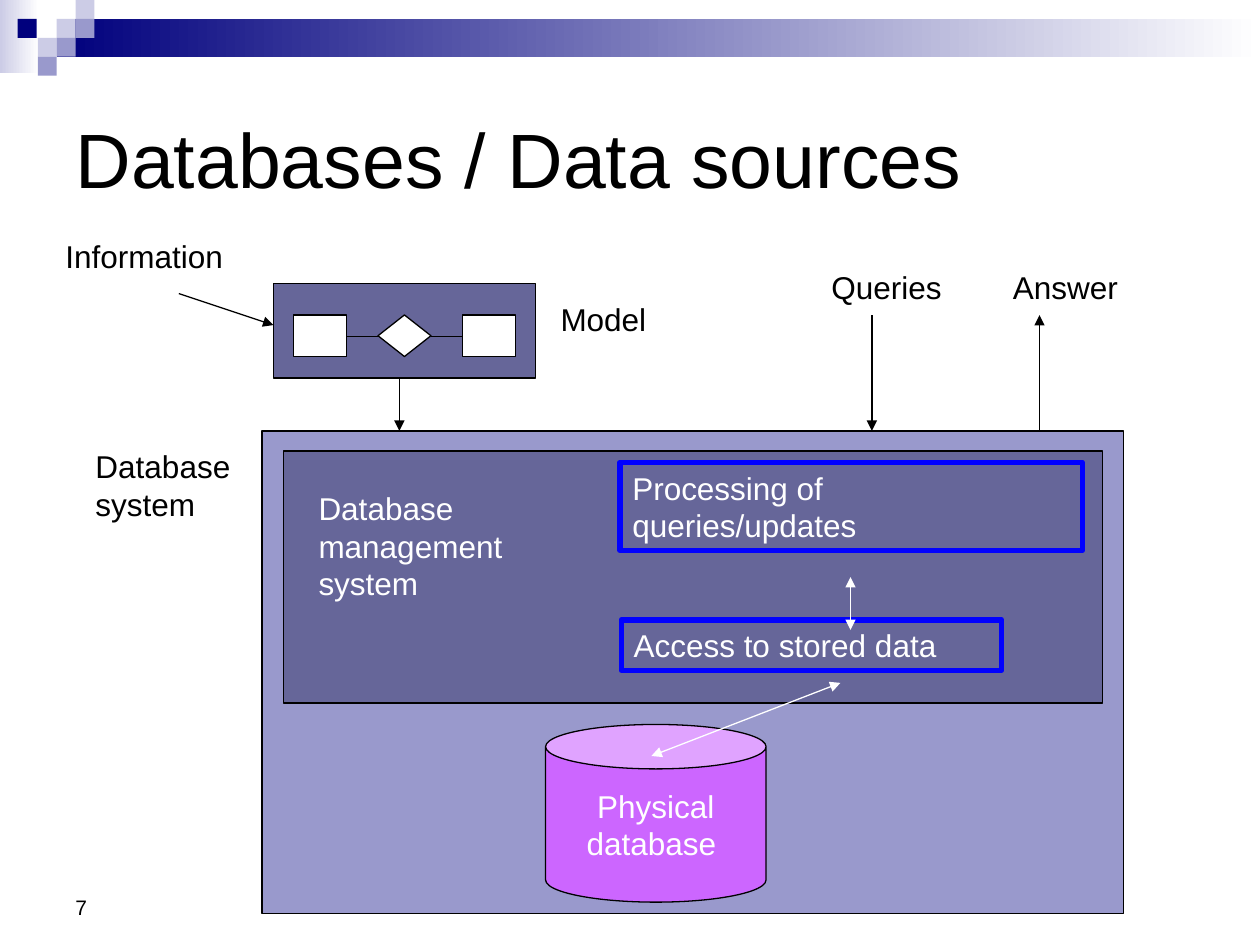
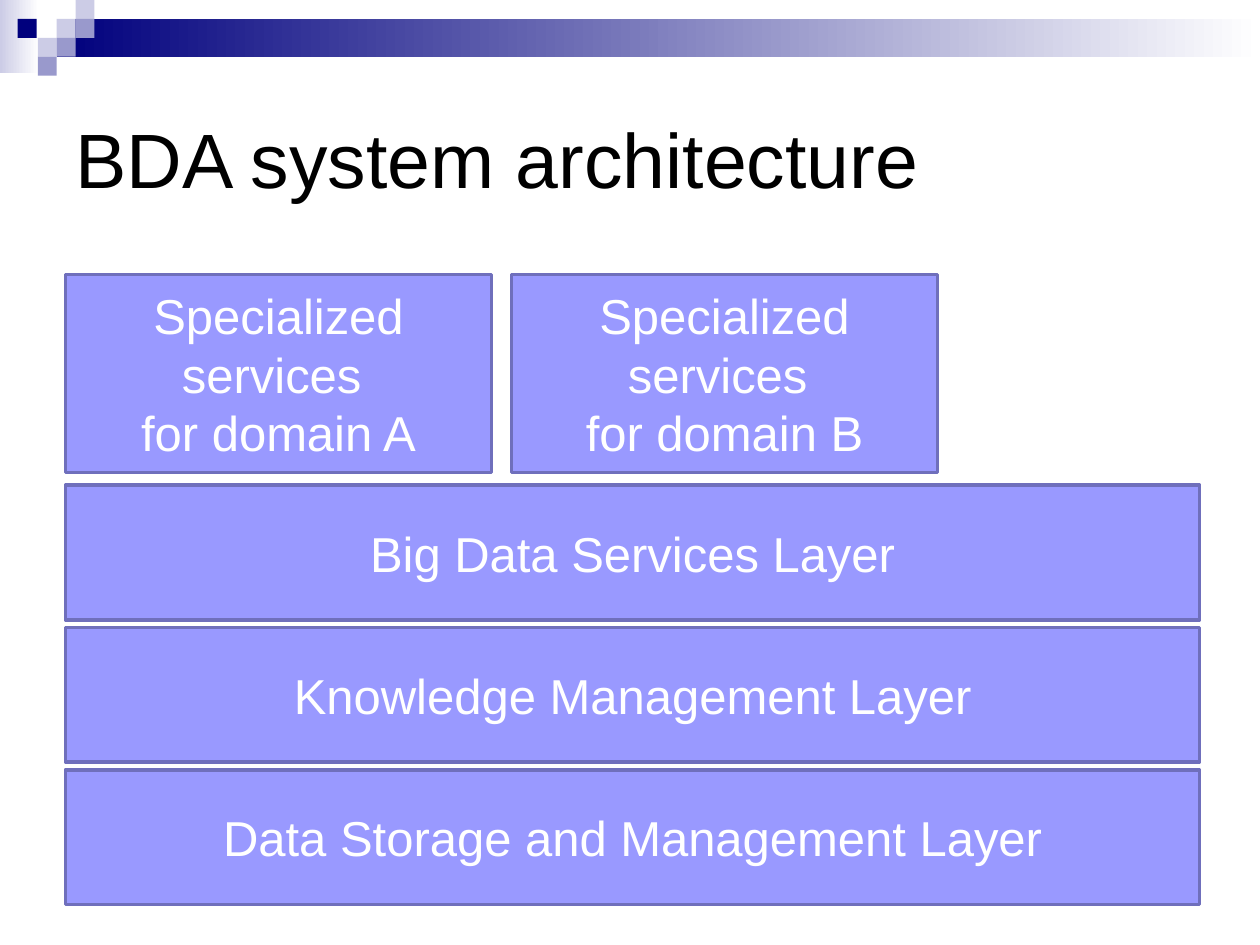
import pptx
import pptx.util
import pptx.dml.color
import pptx.enum.shapes
import pptx.enum.text
import pptx.oxml.ns
import lxml.etree

Inches = pptx.util.Inches
Pt = pptx.util.Pt
RGBColor = pptx.dml.color.RGBColor
SHAPE = pptx.enum.shapes.MSO_SHAPE
ALIGN = pptx.enum.text.PP_ALIGN
ANCHOR = pptx.enum.text.MSO_ANCHOR
qn = pptx.oxml.ns.qn

FONT = "Arial"
BLACK = RGBColor(0x00, 0x00, 0x00)
WHITE = RGBColor(0xFF, 0xFF, 0xFF)
NAVY = RGBColor(0x00, 0x00, 0x7D)
PALE = RGBColor(0xCC, 0xCC, 0xE6)
LAVENDER = RGBColor(0x99, 0x99, 0xCC)
SLATE = RGBColor(0x66, 0x66, 0x99)
PURPLE = RGBColor(0xCC, 0x66, 0xFF)
BLUE = RGBColor(0x00, 0x00, 0xFF)
LAYER_FILL = RGBColor(0x99, 0x99, 0xFF)
LAYER_LINE = RGBColor(0x6F, 0x6F, 0xBC)


def write(frame, lines, size, color, align=ALIGN.LEFT, anchor=ANCHOR.TOP, wrap=True):
    """Fill a text frame with one paragraph per line."""
    frame.word_wrap = wrap
    frame.auto_size = pptx.enum.text.MSO_AUTO_SIZE.NONE
    frame.vertical_anchor = anchor
    for index, line in enumerate(lines):
        para = frame.paragraphs[0] if index == 0 else frame.add_paragraph()
        para.alignment = align
        span = para.add_run()
        span.text = line
        span.font.name = FONT
        span.font.size = Pt(size)
        span.font.color.rgb = color


def add_box(page, kind, left, top, width, height, fill=None, line=None, weight=0.75):
    box = page.shapes.add_shape(kind, Inches(left), Inches(top), Inches(width), Inches(height))
    box.shadow.inherit = False
    if fill is None:
        box.fill.background()
    else:
        box.fill.solid()
        box.fill.fore_color.rgb = fill
    if line is None:
        box.line.fill.background()
    else:
        box.line.color.rgb = line
        box.line.width = Pt(weight)
    return box


def add_fade(page, left, top, width, height, start):
    """Add a bar that fades from a colour to white, left to right."""
    bar = add_box(page, SHAPE.RECTANGLE, left, top, width, height)
    bar.fill.gradient()
    bar.fill.gradient_angle = 0
    for stop, color in zip(bar.fill.gradient_stops, (start, WHITE)):
        stop.color.rgb = color


def add_label(page, left, top, width, height, lines, color=BLACK, size=18, anchor=ANCHOR.TOP):
    box = page.shapes.add_textbox(Inches(left), Inches(top), Inches(width), Inches(height))
    write(box.text_frame, lines, size, color, anchor=anchor, wrap=False)


def add_line(page, start, end, color=BLACK, arrows=()):
    """Add a line; arrows names its arrow ends: headEnd, tailEnd."""
    points = [Inches(value) for value in (*start, *end)]
    line = page.shapes.add_connector(pptx.enum.shapes.MSO_CONNECTOR.STRAIGHT, *points)
    line.line.color.rgb = color
    line.line.width = Pt(0.75)
    for arrow in arrows:
        lxml.etree.SubElement(line.line._get_or_add_ln(), qn("a:" + arrow), type="triangle")
    lxml.etree.SubElement(line.element.spPr, qn("a:effectLst"))


def add_page(deck, title):
    """Add a slide with the shared band, corner squares and title."""
    page = deck.slides.add_slide(deck.slide_layouts[5])
    add_fade(page, 0, 0, 0.31, 0.58, PALE)
    add_fade(page, 0.45, 0.15, 9.55, 0.3, NAVY)
    squares = [
        (0.45, 0.15, PALE), (0.6, 0, PALE), (0.6, 0.15, LAVENDER), (0.3, 0.3, PALE),
        (0.14, 0.15, NAVY), (0.45, 0.3, LAVENDER), (0.3, 0.45, LAVENDER),
    ]
    for left, top, color in squares:
        add_box(page, SHAPE.RECTANGLE, left, top, 0.15, 0.15, color)
    heading = page.shapes.title
    heading.left, heading.top = Inches(0.5), Inches(0.5)
    heading.width, heading.height = Inches(9), Inches(1.5)
    write(heading.text_frame, [title], 44, BLACK, anchor=ANCHOR.MIDDLE)
    return page


def add_model(page):
    """Draw the small entity-relationship model."""
    add_box(page, SHAPE.RECTANGLE, 2.17, 2.25, 2.08, 0.75, SLATE, BLACK)
    for left, kind in ((2.33, SHAPE.RECTANGLE), (3, SHAPE.FLOWCHART_DECISION),
                       (3.67, SHAPE.RECTANGLE)):
        add_box(page, kind, left, 2.5, 0.42, 0.33, WHITE, BLACK)
    for left, right in ((2.75, 3), (3.42, 3.67)):
        add_line(page, (left, 2.67), (right, 2.67))


def build_databases(deck):
    page = add_page(deck, "Databases / Data sources")
    add_label(page, 0.5, 6.83, 2.33, 0.52, ["7"], size=12, anchor=ANCHOR.BOTTOM)

    # Labels around the system
    add_label(page, 0.42, 1.83, 1.45, 0.4, ["Information"])
    add_label(page, 4.35, 2.33, 0.88, 0.4, ["Model"])
    add_label(page, 6.5, 2.08, 1.07, 0.4, ["Queries"])
    add_label(page, 7.94, 2.08, 1.03, 0.4, ["Answer"])
    add_label(page, 0.66, 3.5, 1.27, 0.7, ["Database", "system"])

    # Database system, its store and its management system
    add_box(page, SHAPE.RECTANGLE, 2.08, 3.42, 6.84, 3.83, LAVENDER, BLACK)
    store = add_box(page, SHAPE.CAN, 4.33, 5.75, 1.75, 1.41, PURPLE, BLACK)
    write(store.text_frame, ["Physical", "database "], 18, WHITE,
          ALIGN.CENTER, ANCHOR.MIDDLE, wrap=False)
    add_box(page, SHAPE.RECTANGLE, 2.25, 3.58, 6.5, 2, SLATE, BLACK)
    add_label(page, 2.43, 3.83, 1.66, 1, ["Database", "management", "system"], WHITE)
    processing = add_box(page, SHAPE.RECTANGLE, 4.92, 3.67, 3.67, 0.7, line=BLUE, weight=3)
    write(processing.text_frame, ["Processing of", "queries/updates"], 18, WHITE)
    access = add_box(page, SHAPE.RECTANGLE, 4.93, 4.92, 3.02, 0.4, line=BLUE, weight=3)
    write(access.text_frame, ["Access to stored data"], 18, WHITE, wrap=False)

    # Flows inside the system
    for start, end in (((6.75, 4.58), (6.75, 5)), ((6.67, 5.42), (5.17, 6))):
        add_line(page, start, end, WHITE, ("headEnd", "tailEnd"))

    # Model and the flows into and out of the system
    add_model(page)
    for start, end in (((6.92, 2.5), (6.92, 3.42)), ((8.25, 3.42), (8.25, 2.5)),
                       ((1.42, 2.33), (2.17, 2.58)), ((3.17, 3), (3.17, 3.42))):
        add_line(page, start, end, arrows=("tailEnd",))


def add_layer(page, left, top, width, height, lines):
    box = add_box(page, SHAPE.RECTANGLE, left, top, width, height, LAYER_FILL, LAYER_LINE, 2)
    write(box.text_frame, lines, 28, WHITE, ALIGN.CENTER, ANCHOR.MIDDLE)


def build_architecture(deck):
    page = add_page(deck, "BDA system architecture")

    # Full-width layers
    layers = ["Big Data Services Layer", "Knowledge Management Layer",
              "Data Storage and Management Layer"]
    for row, name in enumerate(layers):
        add_layer(page, 0.52, 3.85 + 1.13 * row, 9, 1.07, [name])

    # Services per domain
    for column, domain in enumerate("AB"):
        add_layer(page, 0.52 + 3.54 * column, 2.18, 3.38, 1.57,
                  ["Specialized services ", f"for domain {domain}"])


def main():
    deck = pptx.Presentation()
    deck.slide_width, deck.slide_height = Inches(10), Inches(7.5)
    build_databases(deck)
    build_architecture(deck)
    deck.save("out.pptx")


if __name__ == "__main__":
    main()
